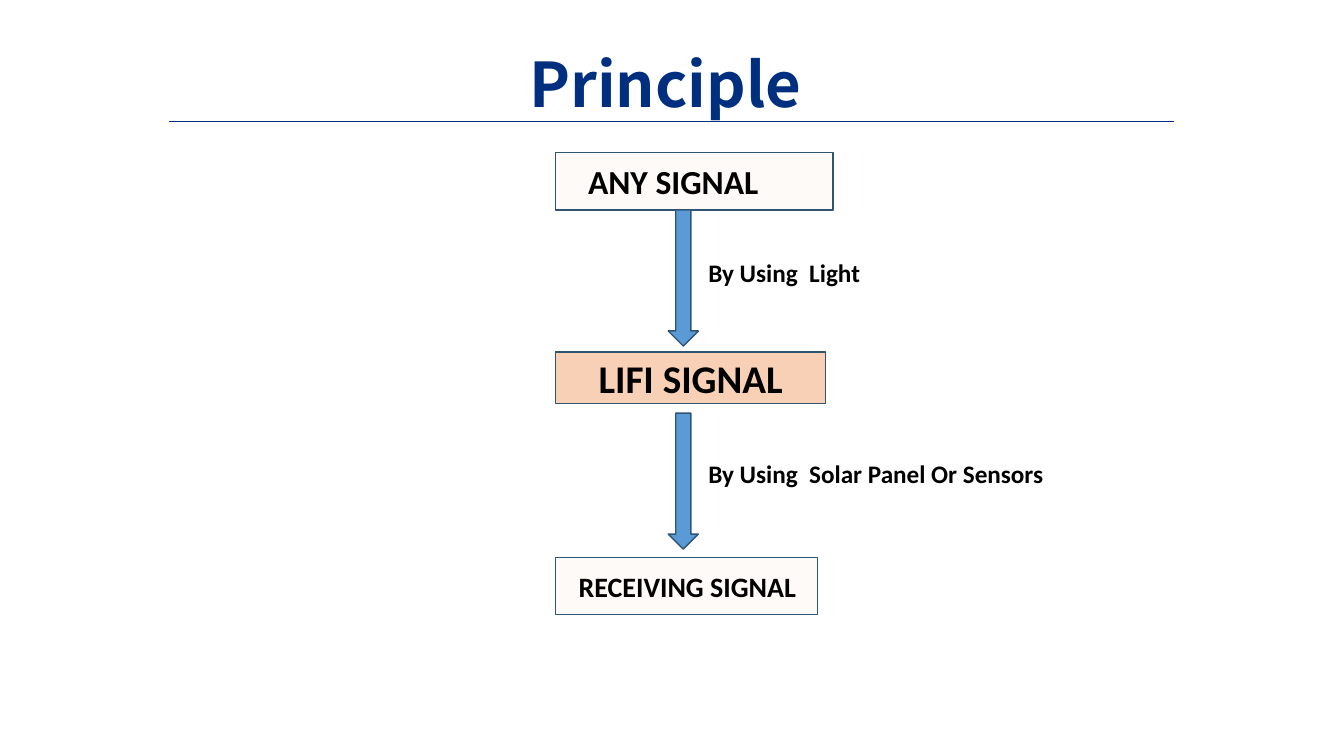
from dataclasses import dataclass

from lxml import etree
from pptx import Presentation
from pptx import util as u
from pptx.dml.color import RGBColor
from pptx.enum import shapes, text
from pptx.oxml.ns import qn


@dataclass(frozen=True)
class Theme:
    navy: RGBColor = RGBColor(0x00, 0x2F, 0x7F)
    outline: RGBColor = RGBColor(0x30, 0x54, 0x73)
    arrow: RGBColor = RGBColor(0x5B, 0x9B, 0xD5)
    cream: RGBColor = RGBColor(0xFE, 0xFA, 0xF7)
    peach: RGBColor = RGBColor(0xF8, 0xD0, 0xB5)
    black: RGBColor = RGBColor(0, 0, 0)
    title_font: str = "Noto Sans CJK SC"
    body_font: str = "Calibri"
    title_size: int = 44
    label_size: int = 18


THEME = Theme()
BOX_LEFT = 14.0
ARROW_LEFT = 16.84
LABEL_LEFT = 17.6


def write(tf, words, size, align, font=THEME.body_font, color=THEME.black):
    """Put one bold paragraph in a text frame."""
    tf.word_wrap = True
    p = tf.paragraphs[0]
    p.text = words
    p.alignment = align
    p.font.name = font
    p.font.size = u.Pt(size)
    p.font.bold = True
    p.font.color.rgb = color
    return p


def add_title(s, words):
    title = s.shapes.title
    title.left, title.top = u.Cm(2.34), u.Cm(0.36)
    title.width, title.height = u.Cm(29.21), u.Cm(3.68)
    tf = title.text_frame
    tf.auto_size = text.MSO_AUTO_SIZE.NONE
    tf.vertical_anchor = text.MSO_ANCHOR.MIDDLE
    p = write(tf, words, THEME.title_size, text.PP_ALIGN.CENTER,
              THEME.title_font, THEME.navy)
    p.line_spacing = 0.9


def add_rule(s, left, right, y):
    rule = s.shapes.add_connector(shapes.MSO_CONNECTOR.STRAIGHT,
                                  u.Cm(left), u.Cm(y), u.Cm(right), u.Cm(y))
    rule.line.color.rgb = THEME.navy
    rule.line.width = u.Pt(0.5)
    etree.SubElement(rule._element.spPr, qn("a:effectLst"))


def add_block(s, kind, left, top, width, height, fill):
    sp = s.shapes.add_shape(kind, u.Cm(left), u.Cm(top), u.Cm(width), u.Cm(height))
    sp.shadow.inherit = False
    sp.fill.solid()
    sp.fill.fore_color.rgb = fill
    sp.line.color.rgb = THEME.outline
    sp.line.width = u.Pt(1)
    return sp


def add_signal(s, words, top, width, height, fill, size, align, indent=0):
    sp = add_block(s, shapes.MSO_SHAPE.RECTANGLE, BOX_LEFT, top, width, height, fill)
    sp.text_frame.vertical_anchor = text.MSO_ANCHOR.MIDDLE
    p = write(sp.text_frame, words, size, align)
    if indent:
        p._p.get_or_add_pPr().set("indent", str(u.Cm(indent)))


def add_step(s, words, arrow_top, label_top, label_width):
    """Add a down arrow with its label on the right."""
    add_block(s, shapes.MSO_SHAPE.DOWN_ARROW, ARROW_LEFT, arrow_top, 0.76, 3.43,
              THEME.arrow)
    label = s.shapes.add_textbox(u.Cm(LABEL_LEFT), u.Cm(label_top),
                                 u.Cm(label_width), u.Cm(1.03))
    write(label.text_frame, words, THEME.label_size, text.PP_ALIGN.LEFT)
    label.text_frame.auto_size = text.MSO_AUTO_SIZE.SHAPE_TO_FIT_TEXT


def main():
    prs = Presentation()
    prs.slide_width, prs.slide_height = u.Cm(33.87), u.Cm(19.05)
    s = prs.slides.add_slide(prs.slide_layouts[5])

    # Heading
    add_rule(s, 4.27, 29.59, 3.06)
    add_title(s, "Principle ")

    # Signal chain, top to bottom
    justify, center = text.PP_ALIGN.JUSTIFY, text.PP_ALIGN.CENTER
    add_signal(s, "ANY SIGNAL", 3.84, 6.99, 1.45, THEME.cream, 24, justify, 0.57)
    add_step(s, "By Using  Light", 5.29, 6.36, 6.43)
    add_signal(s, "LIFI SIGNAL", 8.87, 6.81, 1.3, THEME.peach, 28, center)
    add_step(s, "By Using  Solar Panel Or Sensors", 10.41, 11.42, 9.53)
    add_signal(s, "RECEIVING SIGNAL", 14.05, 6.6, 1.43, THEME.cream, 20, justify, 0.33)

    prs.save("out.pptx")


if __name__ == "__main__":
    main()
